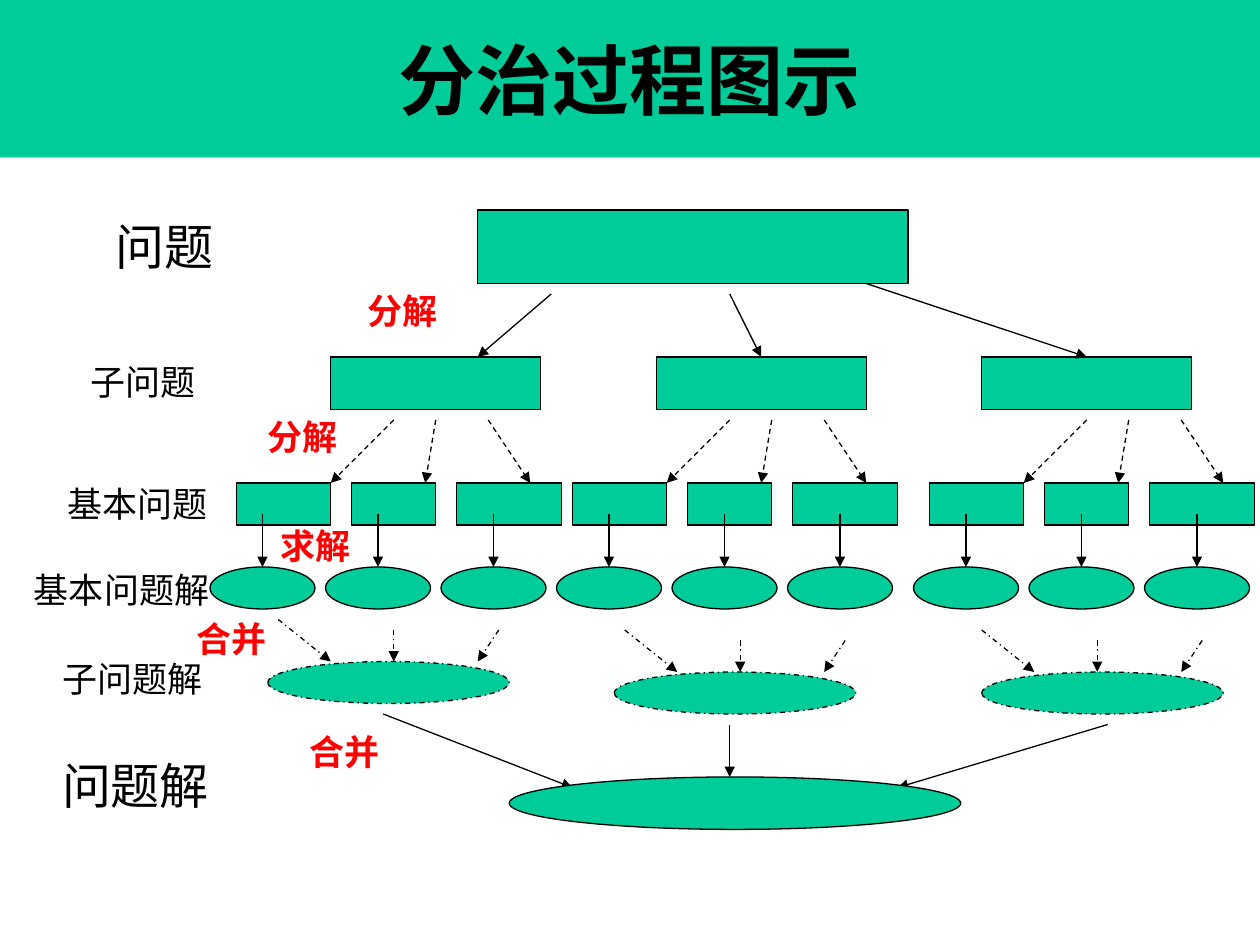
"""Draw the divide-and-conquer process as a tree on a 120 by 90 grid."""
from dataclasses import dataclass
from typing import NamedTuple, Optional

from lxml import etree
from pptx import Presentation
from pptx import util as u
from pptx.dml.color import RGBColor
from pptx.enum import dml, shapes, text
from pptx.oxml import ns

COLS, ROWS = 120, 90
RECT, OVAL = shapes.MSO_SHAPE.RECTANGLE, shapes.MSO_SHAPE.OVAL
DASH, DOT = dml.MSO_LINE.DASH, dml.MSO_LINE.DASH_DOT


@dataclass(frozen=True)
class Theme:
    fill: RGBColor = RGBColor(0x00, 0xCC, 0x99)
    ink: RGBColor = RGBColor(0x00, 0x00, 0x00)
    red: RGBColor = RGBColor(0xFF, 0x00, 0x00)
    head: int = 44
    big: int = 28
    small: int = 20
    line: float = 0.75
    latin: str = "Times New Roman"
    han: str = "Noto Sans CJK SC"


class Box(NamedTuple):
    x: float
    y: float
    w: float
    h: float


class Ray(NamedTuple):
    x1: float
    y1: float
    x2: float
    y2: float


class Label(NamedTuple):
    words: str
    x: float
    y: float
    w: float
    step: bool = False
    big: bool = False


class Merge(NamedTuple):
    x: float
    y: float
    left: float
    tops: tuple


THEME = Theme()
LABELS = [
    Label("问题", 8.16, 20, 15, big=True),
    Label("分解", 30.84, 27, 15, step=True),
    Label("子问题", 5.16, 33.72, 17),
    Label("分解", 21.36, 39, 15, step=True),
    Label("基本问题", 4.08, 45.36, 18.12),
    Label("求解", 22.8, 49.32, 14.52, step=True),
    Label("基本问题解", 1.44, 53.52, 20.28),
    Label("合并", 15.24, 58.2, 13.56, step=True),
    Label("子问题解", 1.08, 62.04, 23.04),
    Label("合并", 19.8, 69, 26.04, step=True),
    Label("问题解", 2.4, 71.4, 21, big=True),
]
MERGES = [
    Merge(25.5, 63, 25.5, (59, 60, 60)),
    Merge(58.5, 64, 58.5, (60, 61, 61)),
    Merge(93.5, 64, 92.5, (60, 61, 61)),
]

deck = Presentation()
deck.slide_width, deck.slide_height = u.Inches(10), u.Inches(7.5)
slide = deck.slides.add_slide(deck.slide_layouts[6])


def col(n: float) -> int:
    """Turn grid columns into a length."""
    return round(deck.slide_width * n / COLS)


def row(n: float) -> int:
    """Turn grid rows into a length."""
    return round(deck.slide_height * n / ROWS)


def node(kind, box: Box, dash=None, edge: bool = True):
    """Draw one filled shape."""
    shape = slide.shapes.add_shape(kind, col(box.x), row(box.y), col(box.w), row(box.h))
    shape.shadow.inherit = False
    shape.fill.solid()
    shape.fill.fore_color.rgb = THEME.fill
    if edge:
        shape.line.color.rgb = THEME.ink
        shape.line.width = u.Pt(THEME.line)
        if dash:
            shape.line.dash_style = dash
    else:
        shape.line.fill.background()
    return shape


def arrow(ray: Ray, dash=None, goal: Optional[object] = None) -> None:
    """Draw an arrow, joined to the top of its goal if one is given."""
    link = slide.shapes.add_connector(
        shapes.MSO_CONNECTOR.STRAIGHT, col(ray.x1), row(ray.y1), col(ray.x2), row(ray.y2))
    if goal is not None:
        link.end_connect(goal, 0)
    link.line.color.rgb = THEME.ink
    link.line.width = u.Pt(THEME.line)
    if dash:
        link.line.dash_style = dash
    etree.SubElement(link.line._get_or_add_ln(), ns.qn("a:tailEnd"), type="triangle")
    etree.SubElement(link._element.spPr, ns.qn("a:effectLst"))


def write(shape, words: str, size: int, tint: RGBColor, face: str, bold: bool) -> None:
    """Put one centred line of text in a shape."""
    frame = shape.text_frame
    frame.word_wrap = True
    frame.text = words
    para = frame.paragraphs[0]
    para.alignment = text.PP_ALIGN.CENTER
    font = para.runs[0].font
    font.size, font.bold, font.name = u.Pt(size), bold, face
    font.color.rgb = tint
    etree.SubElement(font._element, ns.qn("a:ea"), typeface=THEME.han)


def title(words: str) -> None:
    """Draw the title band."""
    band = node(RECT, Box(0, 0, COLS, 15), edge=False)
    band.text_frame.vertical_anchor = text.MSO_ANCHOR.MIDDLE
    write(band, words, THEME.head, THEME.ink, THEME.latin, True)


def label(item: Label) -> None:
    """Write a level name or a step name."""
    size = THEME.big if item.big else THEME.small
    high = 6.84 if item.big else 5.28
    box = slide.shapes.add_textbox(col(item.x), row(item.y), col(item.w), row(high))
    write(box, item.words, size, THEME.red if item.step else THEME.ink, THEME.han, item.step)


def divide() -> None:
    """Draw the problem, its parts and their base cases."""
    node(RECT, Box(45.5, 20, 41, 7))
    subs = [node(RECT, Box(31.5 + 31 * i, 34, 20, 5)) for i in range(3)]
    arrow(Ray(52.5, 28, 45.5, 34))
    arrow(Ray(69.5, 28, 72.5, 34), goal=subs[1])
    arrow(Ray(82.5, 27, 103.5, 34), goal=subs[2])
    for left in (22.5, 54.5, 88.5):
        for x, wide in ((0, 9), (11, 8), (21, 10)):
            node(RECT, Box(left + x, 46, wide, 4))
        for start, stop in ((15, 9), (19, 18), (24, 28)):
            arrow(Ray(left + start, 40, left + stop, 46), DASH)


def solve() -> None:
    """Draw the answer below each base case."""
    for left in (20, 53, 87):
        for i in range(3):
            x = left + 11 * i
            oval = node(OVAL, Box(x, 54, 10, 4))
            arrow(Ray(x + 5, 49, x + 5, 54), goal=oval)


def combine() -> None:
    """Draw the merged answers down to the last one."""
    for m in MERGES:
        node(OVAL, Box(m.x, m.y, 23, 4), DOT)
        for top, (start, stop) in zip(m.tops, ((1, 6), (12, 12), (22, 20))):
            arrow(Ray(m.left + start, top, m.left + stop, m.y), DOT)
    for ray in (Ray(36.5, 68, 54.5, 75), Ray(69.5, 69, 69.5, 74), Ray(105.5, 69, 85.5, 75)):
        arrow(ray)
    node(OVAL, Box(48.5, 74, 43, 5))


def main() -> None:
    """Build and save the slide."""
    title("分治过程图示")
    divide()
    solve()
    combine()
    for item in LABELS:
        label(item)
    deck.save("out.pptx")


if __name__ == "__main__":
    main()
